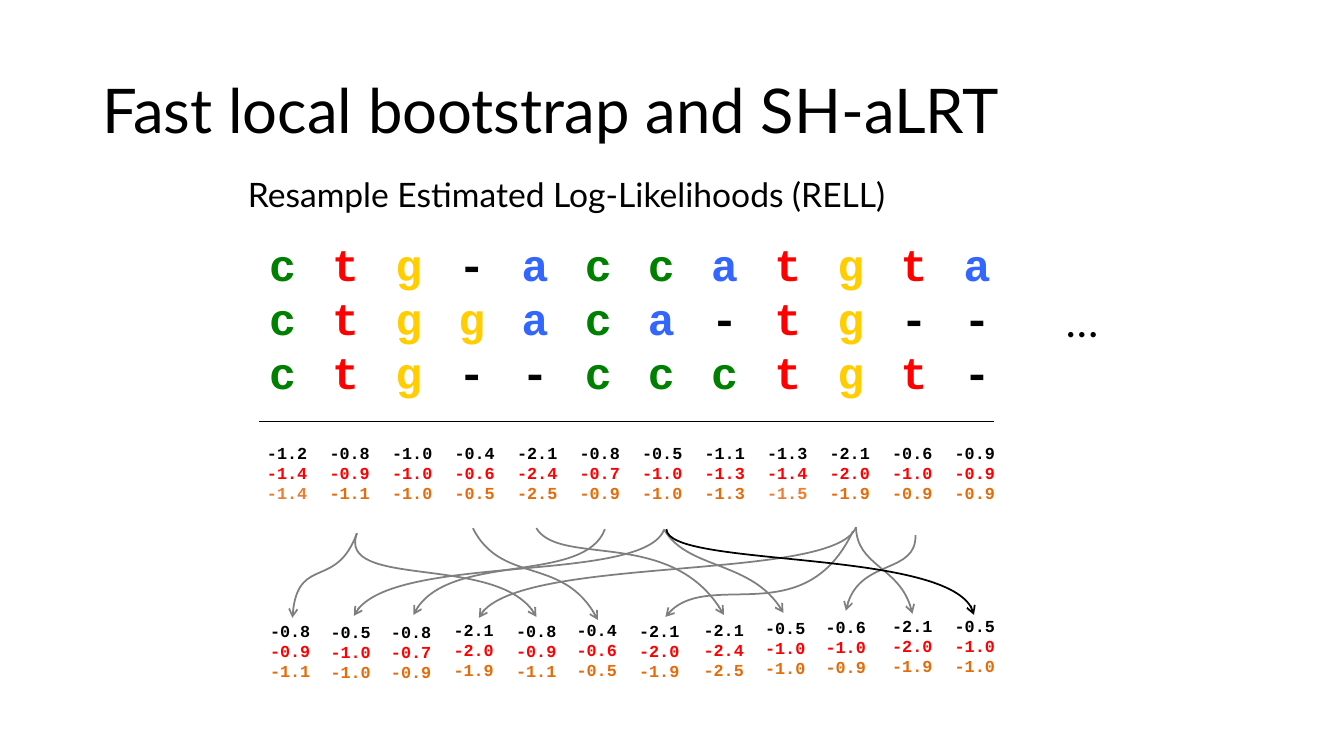
"""Builds the slide on RELL resampling of site log-likelihoods."""
from lxml import etree
from pptx import Presentation
from pptx.dml.color import RGBColor
from pptx.enum.shapes import MSO_CONNECTOR
from pptx.enum.text import MSO_ANCHOR, MSO_AUTO_SIZE
from pptx.oxml.ns import qn
from pptx.util import Inches, Pt

STRAIGHT = MSO_CONNECTOR.STRAIGHT
MIDDLE = MSO_ANCHOR.MIDDLE
GROW = MSO_AUTO_SIZE.SHAPE_TO_FIT_TEXT
FIXED = MSO_AUTO_SIZE.NONE

BLACK = RGBColor(0x00, 0x00, 0x00)
GRAY = RGBColor(0x7F, 0x7F, 0x7F)
RED = RGBColor(0xFF, 0x00, 0x00)
GREEN = RGBColor(0x00, 0x80, 0x00)
YELLOW = RGBColor(0xFF, 0xCD, 0x00)
BLUE = RGBColor(0x33, 0x66, 0xFF)
ORANGE = RGBColor(0xE4, 0x6C, 0x0A)
LIGHT_ORANGE = RGBColor(0xED, 0x7D, 0x31)

BASE_COLORS = {"a": BLUE, "c": GREEN, "g": YELLOW, "t": RED, "-": BLACK}
ALIGNMENT = ("ctg-accatgta", "ctggaca-tg--", "ctg--ccctgt-")

LOG_LIKELIHOODS = [
    ("-1.2", "-1.4", "-1.4"), ("-0.8", "-0.9", "-1.1"), ("-1.0", "-1.0", "-1.0"),
    ("-0.4", "-0.6", "-0.5"), ("-2.1", "-2.4", "-2.5"), ("-0.8", "-0.7", "-0.9"),
    ("-0.5", "-1.0", "-1.0"), ("-1.1", "-1.3", "-1.3"), ("-1.3", "-1.4", "-1.5"),
    ("-2.1", "-2.0", "-1.9"), ("-0.6", "-1.0", "-0.9"), ("-0.9", "-0.9", "-0.9"),
]
LIGHT_SITES = (0, 8)

# Sampled site, left and top of its values, then the four points of its arrow.
RESAMPLED = [
    (1, 2.58, 6.11, [(3.54, 5.29), (3.34, 5.84), (2.94, 5.49), (2.9, 6.13)]),
    (6, 3.18, 6.12, [(6.59, 5.25), (6.39, 5.79), (3.81, 5.47), (3.51, 6.11)]),
    (5, 3.78, 6.12, [(6, 5.25), (5.8, 5.79), (4.4, 5.46), (4.1, 6.1)]),
    (9, 4.4, 6.1, [(8.49, 5.23), (8.29, 5.77), (5.05, 5.49), (4.75, 6.13)]),
    (1, 5.02, 6.11, [(3.54, 5.29), (3.34, 5.84), (4.99, 5.48), (5.32, 6.12)]),
    (3, 5.62, 6.1, [(4.69, 5.24), (4.97, 5.79), (5.6, 5.5), (5.93, 6.15)]),
    (9, 6.24, 6.11, [(8.46, 5.27), (7.99, 6.26), (6.98, 5.61), (6.6, 6.12)]),
    (4, 6.88, 6.1, [(5.32, 5.24), (5.55, 5.62), (6.69, 5.22), (7.18, 6.1)]),
    (6, 7.49, 6.08, [(6.59, 5.26), (6.82, 5.64), (7.48, 5.56), (7.77, 6.08)]),
    (10, 8.09, 6.07, [(9.08, 5.31), (9.09, 5.69), (8.49, 5.53), (8.39, 6.06)]),
    (9, 8.75, 6.06, [(8.49, 5.23), (8.5, 5.61), (8.95, 5.62), (9.05, 6.09)]),
    (6, 9.37, 6.06, [(6.61, 5.25), (6.62, 5.63), (9.53, 5.43), (9.66, 6.1)]),
]


class SlideWriter:
    """Draws styled elements on one slide."""

    heading_font = "Lato"
    data_font = "Courier New"

    def __init__(self, slide):
        self.shapes = slide.shapes

    def text(self, box, lines, size, font, bold=False, wrap=True):
        """Add a text box with one coloured run per line."""
        shape = self.shapes.add_textbox(*map(Inches, box))
        frame = shape.text_frame
        frame.word_wrap = wrap
        frame.auto_size = GROW
        for number, (wording, color) in enumerate(lines):
            paragraph = frame.add_paragraph() if number else frame.paragraphs[0]
            run = paragraph.add_run()
            run.text = wording
            run.font.name = font
            run.font.size = Pt(size)
            run.font.bold = bold
            run.font.color.rgb = color
        return frame

    def title(self, box, wording):
        """Add the slide title, centred vertically in its box."""
        frame = self.text(box, [(wording, BLACK)], 44, self.heading_font)
        frame.auto_size = FIXED
        frame.vertical_anchor = MIDDLE
        frame.paragraphs[0].line_spacing = 0.9

    def values(self, left, top, site_values, last_color=ORANGE):
        """Add the log-likelihoods of one site under three trees."""
        lines = zip(site_values, (BLACK, RED, last_color))
        self.text((left, top, 0.63, 0.71), lines, 12, self.data_font, bold=True)

    def rule(self, left, right, y):
        """Add a thin horizontal line."""
        ends = map(Inches, (left, y, right, y))
        line = self.shapes.add_connector(STRAIGHT, *ends)
        line.line.color.rgb = BLACK
        line.line.width = Pt(0.5)
        etree.SubElement(line._element.spPr, qn("a:effectLst"))

    def curved_arrow(self, points, color):
        """Add a cubic curve through its control points with an arrowhead."""
        start, *others = [(Inches(x), Inches(y)) for x, y in points]
        builder = self.shapes.build_freeform(*start)
        builder.add_line_segments(others, close=False)
        arrow = builder.convert_to_shape()
        segments = arrow._element.xpath(".//a:lnTo")
        curve = etree.SubElement(segments[0].getparent(), qn("a:cubicBezTo"))
        for segment in segments:
            curve.append(segment[0])
            segment.getparent().remove(segment)
        arrow.shadow.inherit = False
        arrow.fill.background()
        arrow.line.color.rgb = color
        arrow.line.width = Pt(1.25)
        outline = arrow._element.spPr.find(qn("a:ln"))
        etree.SubElement(outline, qn("a:tailEnd"), type="arrow")


def main():
    """Build and save the slide."""
    presentation = Presentation()
    presentation.slide_width = Inches(13.33)
    presentation.slide_height = Inches(7.5)
    writer = SlideWriter(presentation.slides.add_slide(presentation.slide_layouts[6]))

    writer.title((0.92, 0.4, 11.5, 1.45), "Fast local bootstrap and SH-aLRT")
    writer.text((2.36, 1.68, 7.74, 0.5),
                [("Resample Estimated Log-Likelihoods (RELL)", BLACK)],
                24, writer.heading_font)

    site_pitch = (9.46 - 2.57) / (len(ALIGNMENT[0]) - 1)
    for site, bases in enumerate(zip(*ALIGNMENT)):
        lines = [(base, BASE_COLORS[base]) for base in bases]
        writer.text((2.57 + site * site_pitch, 2.3, 0.73, 1.72), lines,
                    32, writer.data_font, bold=True)
    writer.text((10.48, 2.85, 0.51, 0.64), [("…", BLACK)], 32, "Calibri", wrap=False)
    writer.rule(2.57, 9.86, 4.18)

    for site, site_values in enumerate(LOG_LIKELIHOODS):
        last_color = LIGHT_ORANGE if site in LIGHT_SITES else ORANGE
        writer.values(2.55 + site * 0.62, 4.34, site_values, last_color)

    for site, left, top, curve in RESAMPLED:
        is_last = curve is RESAMPLED[-1][-1]
        writer.curved_arrow(curve, BLACK if is_last else GRAY)
        writer.values(left, top, LOG_LIKELIHOODS[site])

    presentation.save("out.pptx")


if __name__ == "__main__":
    main()
